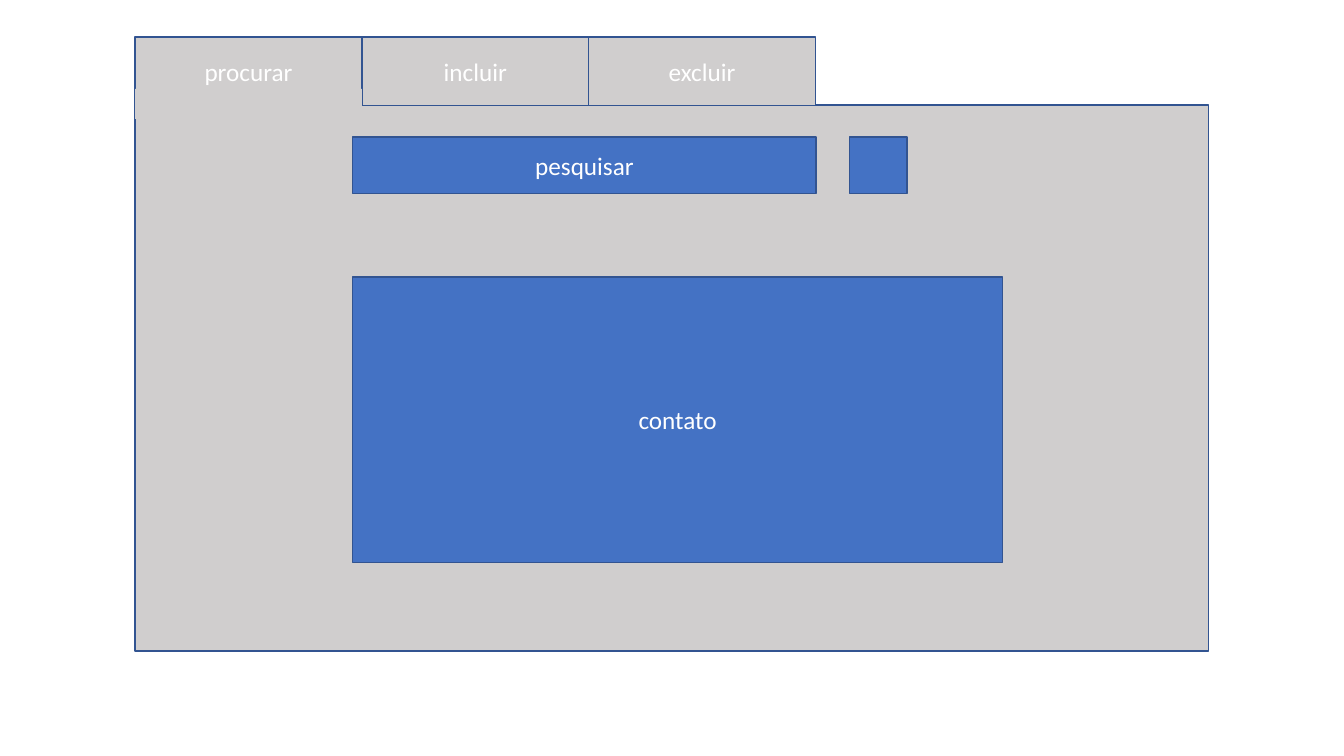
from pptx import Presentation
from pptx.dml.color import RGBColor
from pptx.enum.shapes import MSO_SHAPE as Shape
from pptx.enum.text import MSO_ANCHOR as Anchor, PP_ALIGN as Align
from pptx.util import Pt

GREY = RGBColor(0xD0, 0xCE, 0xCE)
BLUE = RGBColor(0x44, 0x72, 0xC4)
OUTLINE = RGBColor(0x32, 0x54, 0x91)
WHITE = RGBColor(0xFF, 0xFF, 0xFF)

PANEL_LEFT, PANEL_TOP = 96.5, 75
TAB_TOP, TAB_WIDTH, TAB_HEIGHT = 26.5, 162, 48.75
FIELD_LEFT, SEARCH_TOP, SEARCH_HEIGHT = 252, 98, 40.25

prs = Presentation()
prs.slide_width, prs.slide_height = Pt(960), Pt(540)
slide = prs.slides.add_slide(prs.slide_layouts[6])


def add_box(left, top, width, height, fill, label="", outlined=True):
    box = slide.shapes.add_shape(
        Shape.RECTANGLE, Pt(left), Pt(top), Pt(width), Pt(height))
    box.shadow.inherit = False
    box.fill.solid()
    box.fill.fore_color.rgb = fill
    if outlined:
        box.line.color.rgb = OUTLINE
        box.line.width = Pt(1)
    else:
        box.line.fill.background()
    if label:
        box.text_frame.text = label
        box.text_frame.vertical_anchor = Anchor.MIDDLE
        paragraph = box.text_frame.paragraphs[0]
        paragraph.alignment = Align.CENTER
        font = paragraph.runs[0].font
        font.name, font.size = "Calibri", Pt(18)
        font.color.rgb = WHITE


add_box(PANEL_LEFT, PANEL_TOP, 766.75, 390, GREY)

for position, label in enumerate(["procurar", "incluir", "excluir"]):
    add_box(PANEL_LEFT + position * TAB_WIDTH, TAB_TOP,
            TAB_WIDTH, TAB_HEIGHT, GREY, label)

add_box(PANEL_LEFT, 63.5, TAB_WIDTH, 21.5, GREY, outlined=False)

add_box(FIELD_LEFT, SEARCH_TOP, 331, SEARCH_HEIGHT, BLUE, "pesquisar")
add_box(607, SEARCH_TOP, 41, SEARCH_HEIGHT, BLUE)
add_box(FIELD_LEFT, 198, 464, 203.75, BLUE, "contato")

prs.save("out.pptx")
